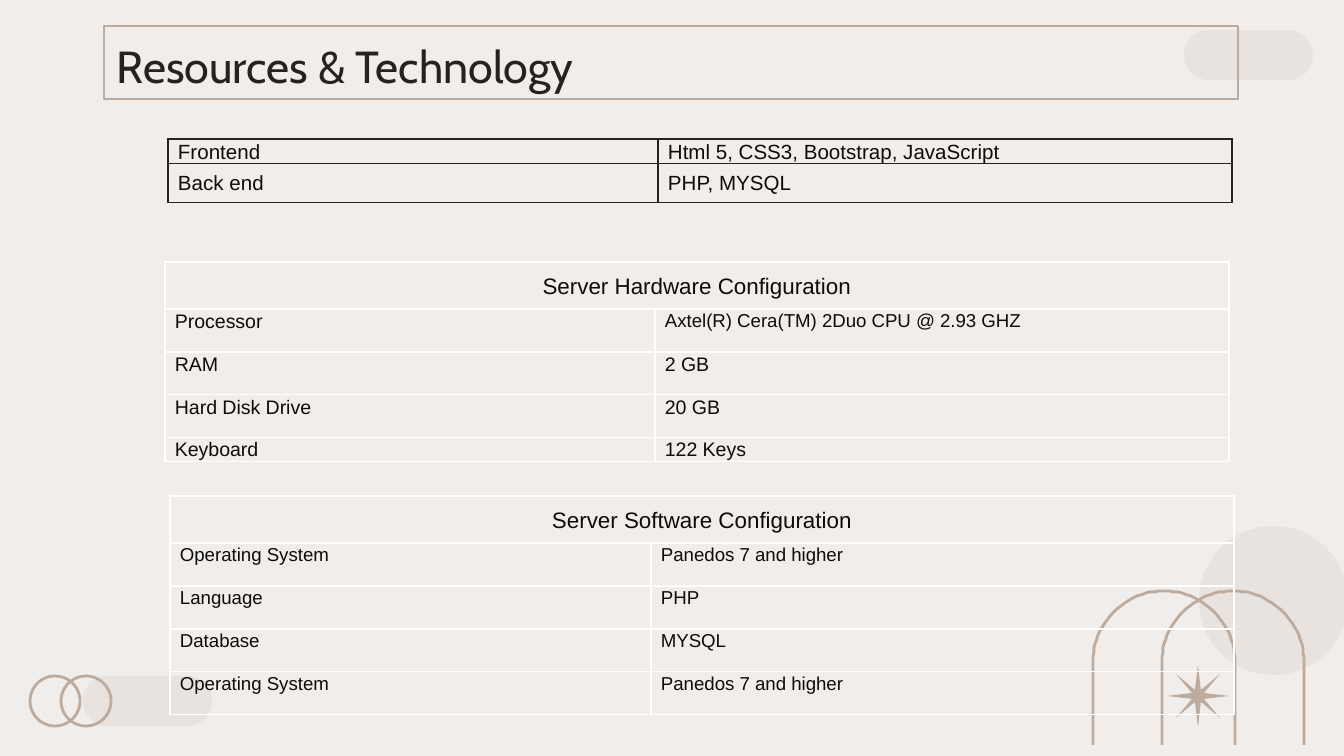
from math import cos, pi, sin

from lxml import etree
from pptx import Presentation
from pptx.dml.color import RGBColor
from pptx.enum.shapes import MSO_SHAPE
from pptx.enum.text import MSO_ANCHOR, MSO_AUTO_SIZE, PP_ALIGN
from pptx.oxml.ns import qn
from pptx.util import Pt

PX = 914400 / 134.4
PILL, CIRCLE = MSO_SHAPE.ROUNDED_RECTANGLE, MSO_SHAPE.OVAL
TOP, MIDDLE = MSO_ANCHOR.TOP, MSO_ANCHOR.MIDDLE
LEFT, CENTER = PP_ALIGN.LEFT, PP_ALIGN.CENTER

COLORS = {
    "background": "F1EDEA",
    "shade": "E8E3DF",
    "accent": "BDAB9D",
    "ink": "292021",
    "cell_text": "0C0C0C",
    "white": "FFFFFF",
}

TITLE = "Resources & Technology"
TITLE_BOX = (104, 26, 1134, 73)

# preset, box in px, fill, line
DECORATIONS = [
    (PILL, (83, 676, 129, 50), "shade", None),
    (CIRCLE, (30, 676, 50, 50), None, "accent"),
    (CIRCLE, (61, 676, 50, 50), None, "accent"),
    (PILL, (1184, 30, 129, 50), "shade", None),
    (CIRCLE, (1199, 526, 149, 149), "shade", None),
]
ARCH_LEFTS = (1093, 1162)
ARCH_TOP, ARCH_BOTTOM, ARCH_RADIUS = 591, 745, 71
STAR_CENTER, STAR_RADII = (1198, 696), (31, 7)

# A row holds its texts and then its text sizes; a single text spans the table.
TABLES = [
    {
        "at": (165, 262), "columns": (490, 574), "heights": (47, 43, 43, 43, 23),
        "border": ("white", 0.75), "anchor": TOP,
        "rows": [
            (("Server Hardware Configuration",), (12,)),
            (("Processor", "Axtel(R) Cera(TM) 2Duo CPU @ 2.93 GHZ"), (10.5, 10)),
            (("RAM", "2 GB"), (10.5, 10.5)),
            (("Hard Disk Drive", "20 GB"), (10.5, 10.5)),
            (("Keyboard", "122 Keys"), (10.5, 10.5)),
        ],
    },
    {
        "at": (170, 496), "columns": (481, 583), "heights": (47, 43, 43, 43, 43),
        "border": ("white", 0.75), "anchor": TOP,
        "rows": [
            (("Server Software Configuration",), (12,)),
            (("Operating System", "Panedos 7 and higher"), (10, 10)),
            (("Language", "PHP"), (10, 10)),
            (("Database", "MYSQL"), (10, 10)),
            (("Operating System", "Panedos 7 and higher"), (10, 10)),
        ],
    },
    {
        "at": (168, 139), "columns": (490, 574), "heights": (24, 39),
        "border": ("ink", 1), "anchor": MIDDLE,
        "rows": [
            (("Frontend", "Html 5, CSS3, Bootstrap, JavaScript"), (11, 11)),
            (("Back end", "PHP, MYSQL"), (11, 11)),
        ],
    },
]


def px(*lengths):
    return [round(length * PX) for length in lengths]


def color(name):
    return RGBColor.from_string(COLORS[name])


def paint(shape, fill=None, line=None):
    shape.shadow.inherit = False
    if fill:
        shape.fill.solid()
        shape.fill.fore_color.rgb = color(fill)
    else:
        shape.fill.background()
    if line:
        shape.line.color.rgb = color(line)
        shape.line.width = Pt(1.5)
    else:
        shape.line.fill.background()


def add_outline(shapes, points, closed):
    builder = shapes.build_freeform(*points[0], scale=PX)
    builder.add_line_segments(points[1:], close=closed)
    return builder.convert_to_shape()


def arch_points(left, steps=48):
    center_x, center_y = left + ARCH_RADIUS, ARCH_TOP + ARCH_RADIUS
    curve = [(center_x - ARCH_RADIUS * cos(pi * i / steps),
              center_y - ARCH_RADIUS * sin(pi * i / steps)) for i in range(steps + 1)]
    return [(left, ARCH_BOTTOM), *curve, (left + 2 * ARCH_RADIUS, ARCH_BOTTOM)]


def star_points(tips=8):
    x, y = STAR_CENTER
    return [(x + STAR_RADII[i % 2] * sin(pi * i / tips),
             y - STAR_RADII[i % 2] * cos(pi * i / tips)) for i in range(2 * tips)]


def set_borders(cell, name, width):
    properties = cell._tc.get_or_add_tcPr()
    for side in ("a:lnL", "a:lnR", "a:lnT", "a:lnB"):
        line = etree.SubElement(properties, qn(side), w=str(Pt(width)))
        fill = etree.SubElement(line, qn("a:solidFill"))
        etree.SubElement(fill, qn("a:srgbClr"), val=COLORS[name])


def write_cell(cell, text, size, anchor, alignment):
    cell.text_frame.text = text
    cell.vertical_anchor = anchor
    paragraph = cell.text_frame.paragraphs[0]
    paragraph.alignment = alignment
    paragraph.line_spacing = 1.07
    font = paragraph.runs[0].font
    font.name, font.size, font.bold = "Arial", Pt(size), False
    font.color.rgb = color("cell_text")


def add_grid(shapes, content):
    columns, heights = content["columns"], content["heights"]
    frame = shapes.add_table(len(heights), len(columns),
                             *px(*content["at"], sum(columns), sum(heights)))
    table = frame.table
    table.first_row = table.horz_banding = False
    for column, width in zip(table.columns, columns):
        column.width = px(width)[0]
    for row, height in zip(table.rows, heights):
        row.height = px(height)[0]
    for cell in table.iter_cells():
        set_borders(cell, *content["border"])
        cell.fill.background()
        cell.margin_left = cell.margin_right = px(10)[0]
        cell.margin_top = cell.margin_bottom = 0
    for r, (texts, sizes) in enumerate(content["rows"]):
        heading = len(texts) == 1
        if heading:
            table.cell(r, 0).merge(table.cell(r, len(columns) - 1))
        for c, (text, size) in enumerate(zip(texts, sizes)):
            write_cell(table.cell(r, c), text, size,
                       MIDDLE if heading else content["anchor"],
                       CENTER if heading else LEFT)


def place_title(slide):
    title = slide.shapes.title
    title.left, title.top, title.width, title.height = px(*TITLE_BOX)
    title.line.color.rgb = color("accent")
    title.line.width = Pt(1.5)
    frame = title.text_frame
    frame.text = TITLE
    frame.word_wrap, frame.auto_size = True, MSO_AUTO_SIZE.NONE
    frame.vertical_anchor = TOP
    frame.margin_left = frame.margin_right = px(13)[0]
    frame.margin_top = frame.margin_bottom = px(13)[0]
    frame.paragraphs[0].alignment = LEFT
    font = frame.paragraphs[0].runs[0].font
    font.name, font.size = "Cabin", Pt(24)
    font.color.rgb = color("ink")
    slide.shapes._spTree.append(title._element)  # in front of the decorations


def main():
    deck = Presentation()
    deck.slide_width, deck.slide_height = px(1344, 756)
    slide = deck.slides.add_slide(deck.slide_layouts[5])
    slide.background.fill.solid()
    slide.background.fill.fore_color.rgb = color("background")
    shapes = slide.shapes
    for preset, box, fill, line in DECORATIONS:
        decoration = shapes.add_shape(preset, *px(*box))
        if preset == PILL:
            decoration.adjustments[0] = 0.5
        paint(decoration, fill, line)
    for left in ARCH_LEFTS:
        paint(add_outline(shapes, arch_points(left), closed=False), line="accent")
    paint(add_outline(shapes, star_points(), closed=True), fill="accent")
    for content in TABLES:
        add_grid(shapes, content)
    place_title(slide)
    deck.save("out.pptx")


if __name__ == "__main__":
    main()
